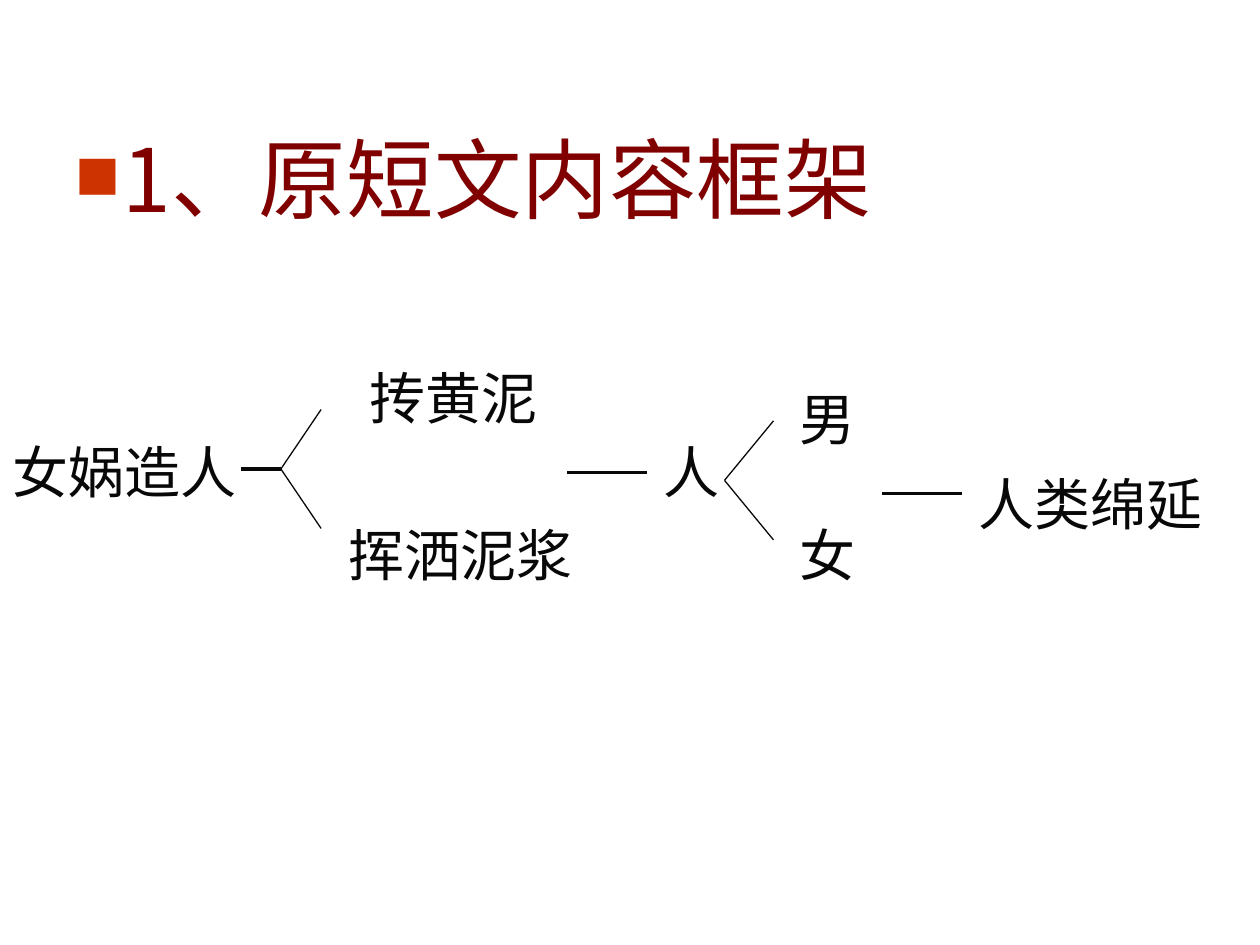
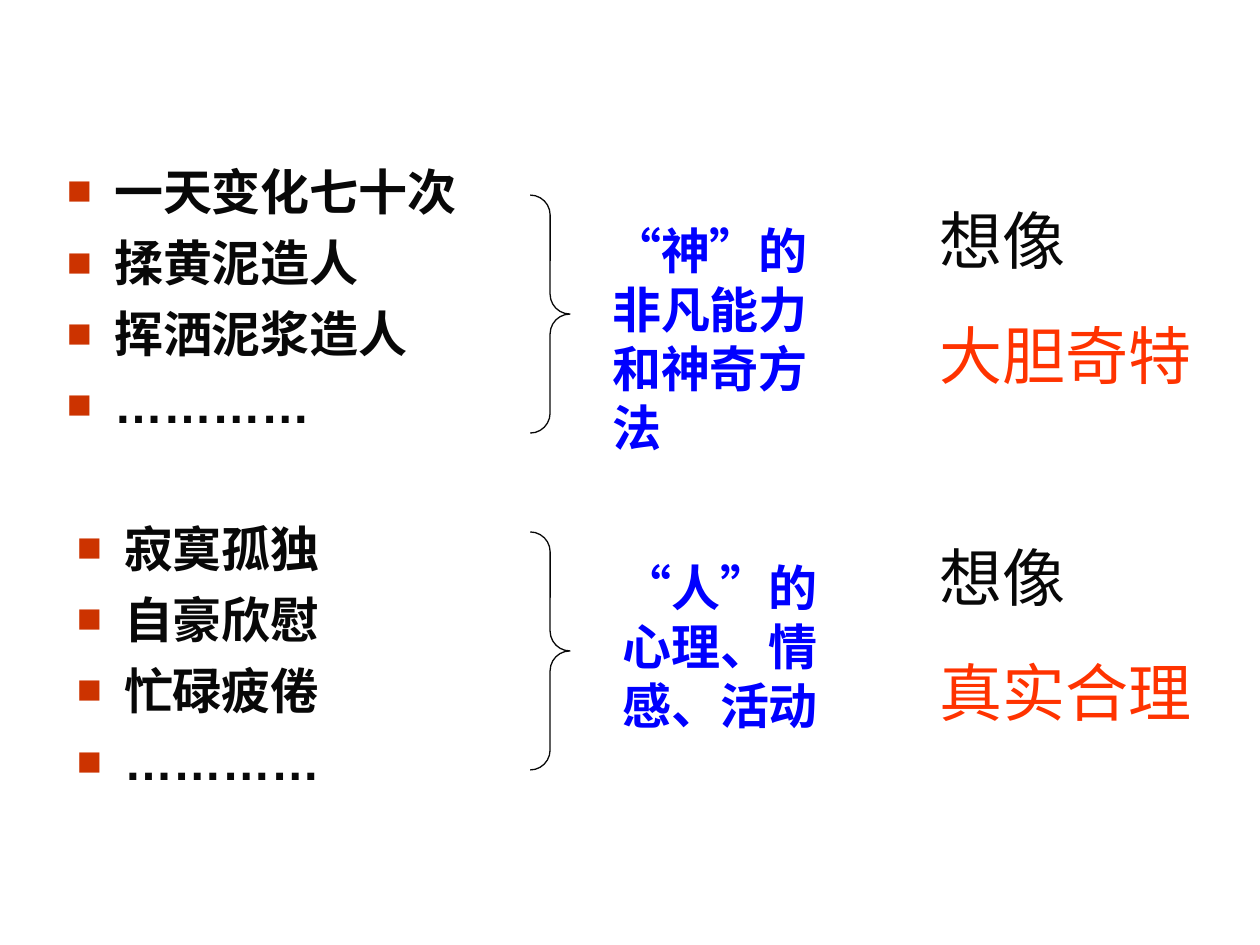
from lxml import etree
from pptx import Presentation
from pptx.dml.color import RGBColor
from pptx.enum.shapes import MSO_CONNECTOR, MSO_SHAPE
from pptx.enum.text import MSO_ANCHOR, MSO_AUTO_SIZE
from pptx.oxml.ns import qn
from pptx.util import Pt

STRAIGHT = MSO_CONNECTOR.STRAIGHT
RIGHT_BRACE = MSO_SHAPE.RIGHT_BRACE
TOP = MSO_ANCHOR.TOP
FIXED = MSO_AUTO_SIZE.NONE
GROW = MSO_AUTO_SIZE.SHAPE_TO_FIT_TEXT

INK = RGBColor(0x08, 0x08, 0x08)
MAROON = RGBColor(0x80, 0x00, 0x00)
BLUE = RGBColor(0x00, 0x00, 0xFF)
ORANGE = RGBColor(0xFF, 0x33, 0x00)
BULLET = RGBColor(0xCC, 0x33, 0x00)
FONT = "Arial"
CJK_FONT = "Noto Sans CJK SC"
LABEL_SIZE = 32
LABEL_HEIGHT = 46
INDENT = 27


def add_run(p, text, size, color, bold=False, font=FONT):
    r = p.add_run()
    r.text = text
    r.font.name = font
    r.font.size = Pt(size)
    r.font.bold = bold
    r.font.color.rgb = color
    latin = r._r.rPr.find(qn("a:latin"))
    ea = etree.Element(qn("a:ea"), typeface=CJK_FONT)
    latin.addnext(ea)


def add_bullet(p):
    pPr = p._p.get_or_add_pPr()
    pPr.set("marL", str(Pt(INDENT)))
    pPr.set("indent", str(-Pt(INDENT)))
    color = etree.SubElement(pPr, qn("a:buClr"))
    etree.SubElement(color, qn("a:srgbClr"), val=str(BULLET))
    etree.SubElement(pPr, qn("a:buSzPct"), val="85000")
    etree.SubElement(pPr, qn("a:buFont"), typeface=FONT)
    etree.SubElement(pPr, qn("a:buChar"), char="■")


def place(sp, x, y, w, h):
    sp.left, sp.top, sp.width, sp.height = Pt(x), Pt(y), Pt(w), Pt(h)


def paragraphs(tf, texts, gap):
    for i, text in enumerate(texts):
        p = tf.add_paragraph() if i else tf.paragraphs[0]
        p.space_before = Pt(gap if i else 0)
        yield p, text


def add_list(sp, items, size, color, bold=False, font=FONT, gap=7, spacing=1.0):
    tf = sp.text_frame
    tf.word_wrap = True
    tf.auto_size = FIXED
    tf.vertical_anchor = TOP
    for p, item in paragraphs(tf, items, gap):
        add_bullet(p)
        p.line_spacing = spacing
        add_run(p, item, size, color, bold, font)


def add_text(s, x, y, w, h, lines, size, bold=False, wrap=True, gap=0):
    tf = s.shapes.add_textbox(Pt(x), Pt(y), Pt(w), Pt(h)).text_frame
    tf.word_wrap = wrap
    tf.auto_size = GROW
    for p, (text, color) in paragraphs(tf, lines, gap):
        add_run(p, text, size, color, bold)


def add_line(s, x1, y1, x2, y2, width):
    line = s.shapes.add_connector(STRAIGHT, Pt(x1), Pt(y1), Pt(x2), Pt(y2))
    line.line.color.rgb = INK
    line.line.width = Pt(width)
    etree.SubElement(line._element.spPr, qn("a:effectLst"))


def add_fork(s, x, y, reach):
    for rise in (-34, 34):
        add_line(s, x, y, x + reach, y + rise, 0.75)


def add_body_slide(prs):
    s = prs.slides.add_slide(prs.slide_layouts[1])
    title = s.shapes.title
    title._element.getparent().remove(title._element)
    return s, s.placeholders[1]


def story_flow(s, x, y):
    labels = [("女娲造人", 0, 42.5), ("抟黄泥", 204, 0), ("挥洒泥浆", 192, 90),
              ("人", 372, 42.5), ("人类绵延", 552, 60.5), ("男", 450, 12), ("女", 450, 90)]
    for text, dx, dy in labels:
        w = LABEL_SIZE * len(text) + 14.4
        add_text(s, x + dx, y + dy, w, LABEL_HEIGHT, [(text, INK)], LABEL_SIZE, wrap=False)
    for start, end, dy in [(138, 160.5, 64), (324, 369.5, 66), (504, 549.5, 78)]:
        add_line(s, x + start, y + dy, x + end, y + dy, 2.25)
    add_fork(s, x + 160.5, y + 64, 23)
    add_fork(s, x + 414, y + 70.5, 28)


def add_brace(s, x, y, w, h):
    brace = s.shapes.add_shape(RIGHT_BRACE, Pt(x), Pt(y), Pt(w), Pt(h))
    brace.adjustments[0] = 0.5
    brace.shadow.inherit = False
    brace.fill.background()
    brace.line.color.rgb = INK
    brace.line.width = Pt(0.75)


def imagination_row(s, sp, x, y, shift, list_rise, items, note, note_height, verdict, verdict_width):
    place(sp, x + shift, y - list_rise, 273, 166)
    add_list(sp, items, 28, INK, bold=True)
    add_brace(s, x + 272, y, 22.7, 136)
    add_text(s, x + 311.7 + shift, y + 11, 147.6 - shift, note_height,
             [(note, BLUE)], 28, bold=True)
    add_text(s, x + 499, y, verdict_width, 116.6,
             [("想像", INK), (verdict, ORANGE)], 36, gap=22.5)


def framework_slide(prs):
    s, body = add_body_slide(prs)
    place(body, 36, 84, 648, 51)
    add_list(body, ["1、原短文内容框架"], 50, MAROON, font=CJK_FONT, spacing=0.7)
    story_flow(s, 0, 204)


def imagination_slide(prs):
    s, body = add_body_slide(prs)
    imagination_row(s, body, 31, 111.5, 0, 23,
                    ["一天变化七十次", "揉黄泥造人", "挥洒泥浆造人", "…………"],
                    "“神”的非凡能力和神奇方法", 142, "大胆奇特", 170)
    second_list = s.shapes.add_textbox(0, 0, 0, 0)
    imagination_row(s, second_list, 31, 304, 5.8, 11.5,
                    ["寂寞孤独", "自豪欣慰", "忙碌疲倦", "…………"],
                    "“人”的心理、情感、活动", 108, "真实合理", 190)


def main():
    prs = Presentation()
    prs.slide_width, prs.slide_height = Pt(720), Pt(540)
    framework_slide(prs)
    imagination_slide(prs)
    prs.save("out.pptx")


if __name__ == "__main__":
    main()
